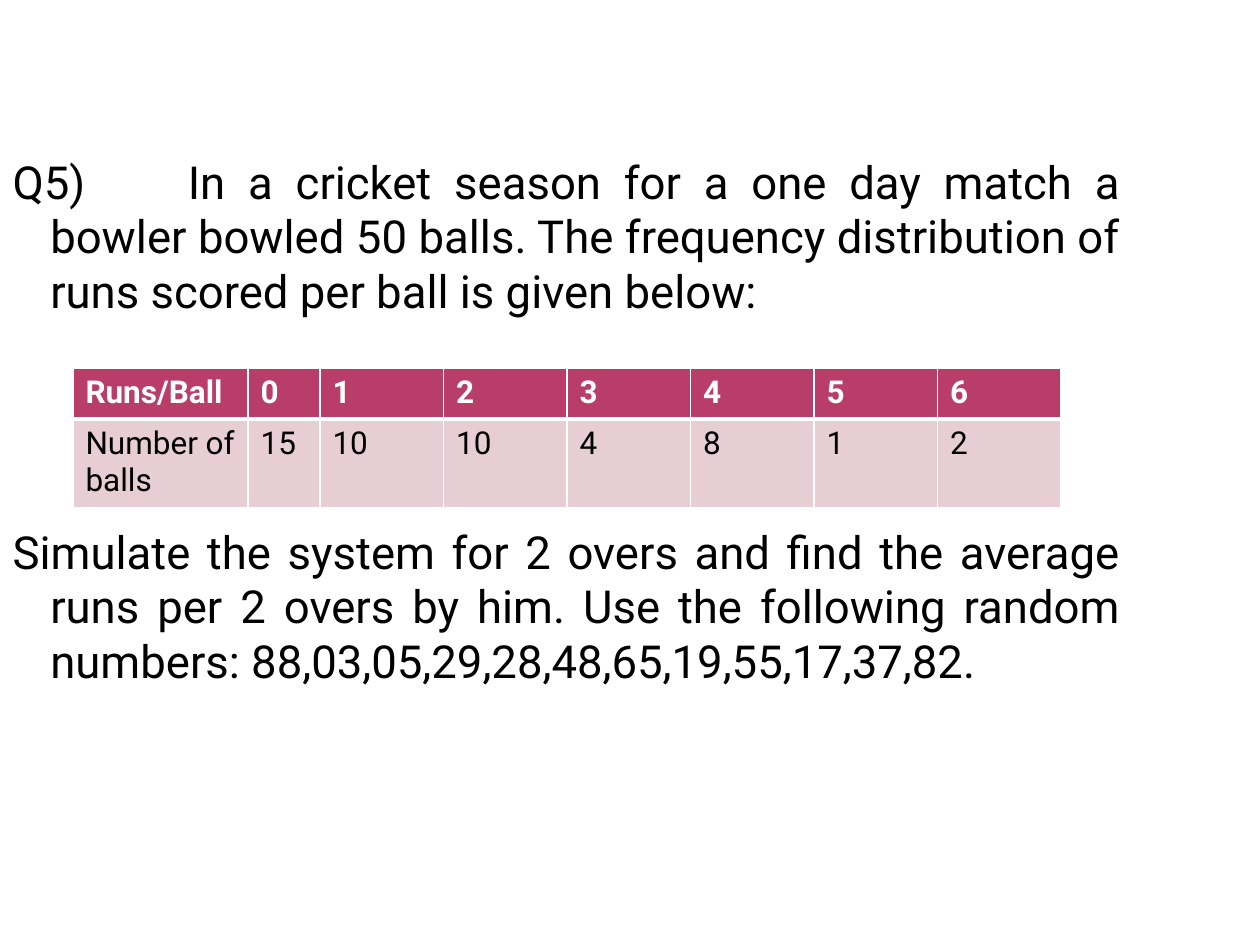
from lxml.etree import SubElement
from pptx import Presentation
from pptx.dml.color import RGBColor
from pptx.enum.text import MSO_ANCHOR, MSO_AUTO_SIZE, PP_ALIGN
from pptx.oxml import parse_xml
from pptx.oxml.ns import nsdecls, qn
from pptx.util import Cm, Pt

COLORS = {
    "text": "000000",
    "header_text": "FFFFFF",
    "header_fill": "B83D68",
    "value_fill": "E6CED4",
    "rule": "FFFFFF",
}
QUESTION = (
    "Q5) \tIn a cricket season for a one day match a bowler bowled 50 balls. "
    "The frequency distribution of runs scored per ball is given below: "
)
TASK = (
    "Simulate the system for 2 overs and find the average runs per 2 overs by him. "
    "Use the following random numbers: 88,03,05,29,28,48,65,19,55,17,37,82."
)
FREQUENCIES = [
    ["Runs/Ball", "0", "1", "2", "3", "4", "5", "6"],
    ["Number of balls", "15", "10", "10", "4", "8", "1", "2"],
]
COLUMN_WIDTHS = [3.53, 1.45] + [2.49] * 6
ROW_HEIGHTS = [1.03, 1.78]


def apply_format(target, values):
    for attribute, value in values.items():
        setattr(target, attribute, value)


class SlideWriter:
    """Holds the text style and the slide being filled."""

    font_name = "Roboto"

    def __init__(self, slide):
        self.slide = slide

    def style_font(self, font, size, color, bold=False):
        apply_format(font, {"name": self.font_name, "size": Pt(size), "bold": bold})
        font.color.rgb = RGBColor.from_string(COLORS[color])

    def drop_title(self):
        title = self.slide.shapes.title
        title.element.getparent().remove(title.element)

    def body(self, box, passages):
        """Fill the body with (text, points before) pairs as hanging paragraphs."""
        body = self.slide.placeholders[1]
        apply_format(body, dict(zip(("left", "top", "width", "height"), map(Cm, box))))
        frame = body.text_frame
        apply_format(frame, {
            "word_wrap": True,
            "auto_size": MSO_AUTO_SIZE.NONE,
            "vertical_anchor": MSO_ANCHOR.TOP,
        })
        for index, (passage, before) in enumerate(passages):
            paragraph = frame.add_paragraph() if index else frame.paragraphs[0]
            apply_format(paragraph, {
                "alignment": PP_ALIGN.JUSTIFY,
                "space_before": Pt(before),
            })
            run = paragraph.add_run()
            run.text = passage
            self.style_font(run.font, 26, "text")
            properties = paragraph._p.get_or_add_pPr()
            hanging = Cm(0.76)
            for key, value in {"marL": hanging, "indent": -hanging,
                               "defTabSz": Cm(2.54)}.items():
                properties.set(key, str(value))
            SubElement(properties, qn("a:buNone"))

    def table(self, left, top, rows):
        table = self.slide.shapes.add_table(
            len(rows), len(rows[0]), Cm(left), Cm(top),
            Cm(sum(COLUMN_WIDTHS)), Cm(sum(ROW_HEIGHTS)),
        ).table
        for column, width in zip(table.columns, COLUMN_WIDTHS):
            column.width = Cm(width)
        for row, height in zip(table.rows, ROW_HEIGHTS):
            row.height = Cm(height)
        for row_index, row in enumerate(rows):
            is_header = row_index == 0
            for column_index, value in enumerate(row):
                cell = table.cell(row_index, column_index)
                cell.fill.solid()
                fill = COLORS["header_fill" if is_header else "value_fill"]
                cell.fill.fore_color.rgb = RGBColor.from_string(fill)
                run = cell.text_frame.paragraphs[0].add_run()
                run.text = value
                self.style_font(run.font, 18, "header_text" if is_header else "text", is_header)
                self.cell_borders(cell, "B" if is_header else "T")

    def cell_borders(self, cell, thick_side):
        properties = cell._tc.get_or_add_tcPr()
        for position, side in enumerate("LRTB"):
            width = Pt(3 if side == thick_side else 1)
            properties.insert(position, parse_xml(
                f'<a:ln{side} {nsdecls("a")} w="{width}"><a:solidFill>'
                f'<a:srgbClr val="{COLORS["rule"]}"/></a:solidFill></a:ln{side}>'
            ))


def main():
    deck = Presentation()
    deck.slide_width, deck.slide_height = Cm(25.4), Cm(19.05)
    writer = SlideWriter(deck.slides.add_slide(deck.slide_layouts[1]))
    writer.drop_title()
    writer.body((0, 2.97, 22.86, 16.08), [(QUESTION, 6), (TASK, 118)])
    writer.table(1.47, 7.42, FREQUENCIES)
    deck.save("out.pptx")


if __name__ == "__main__":
    main()
